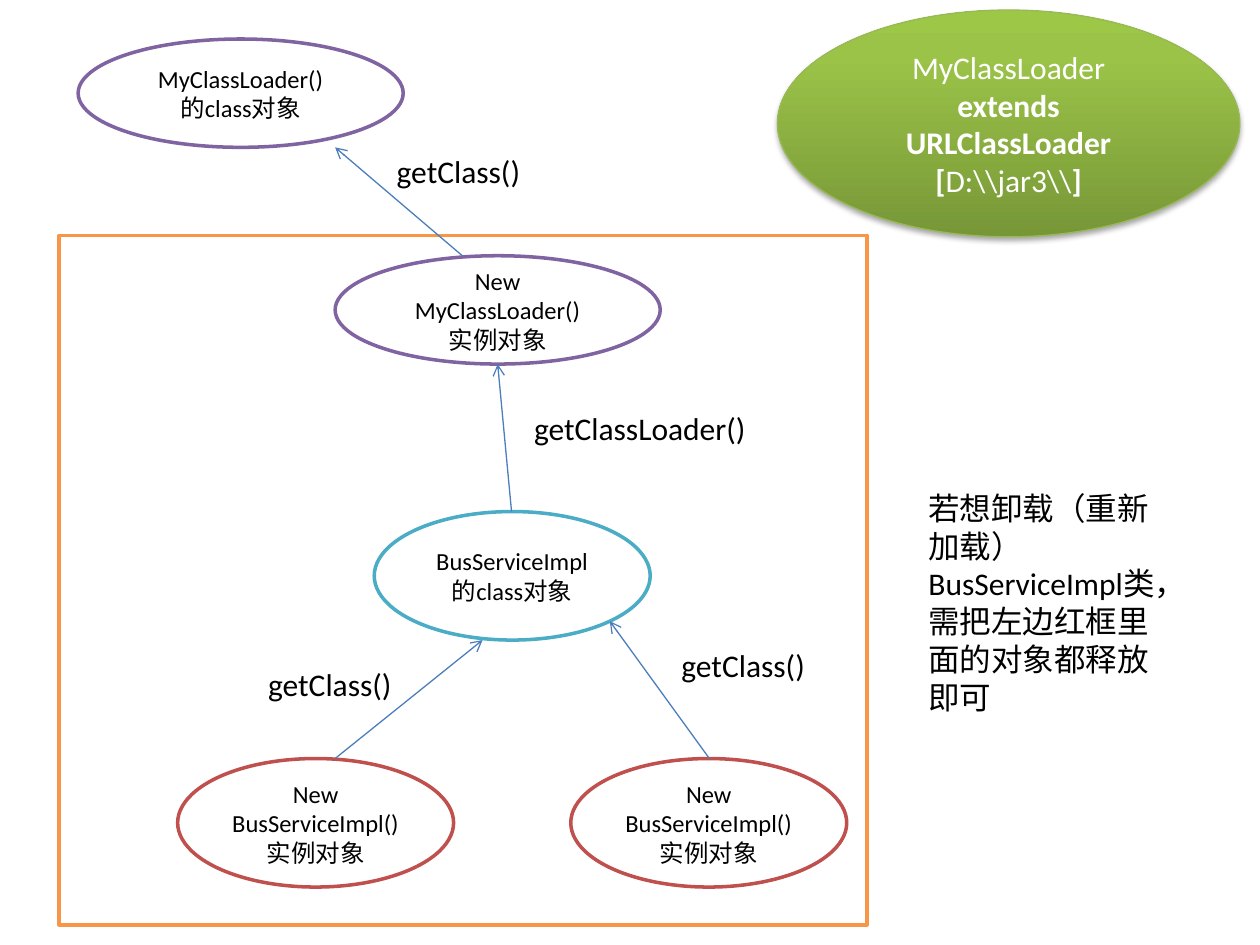
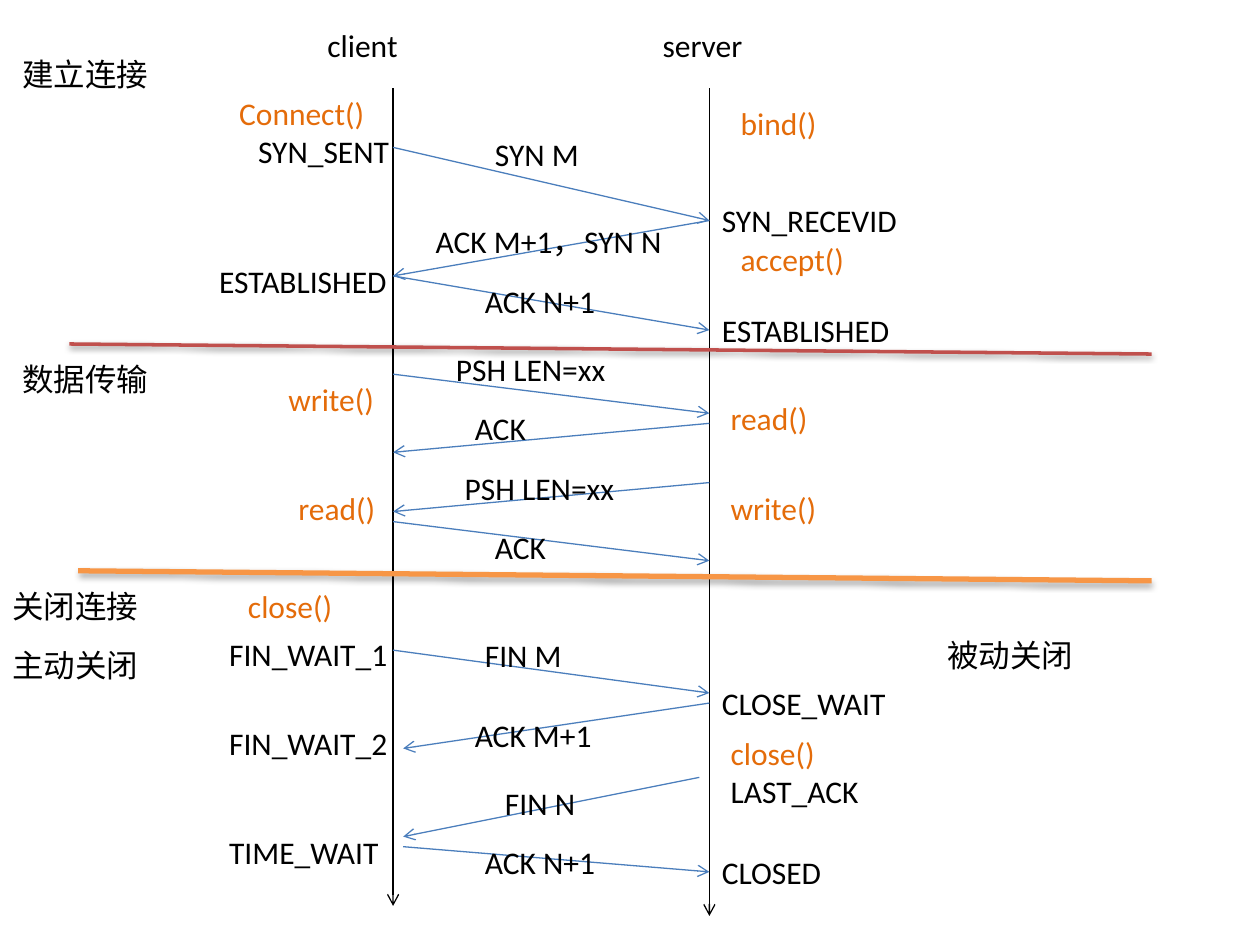
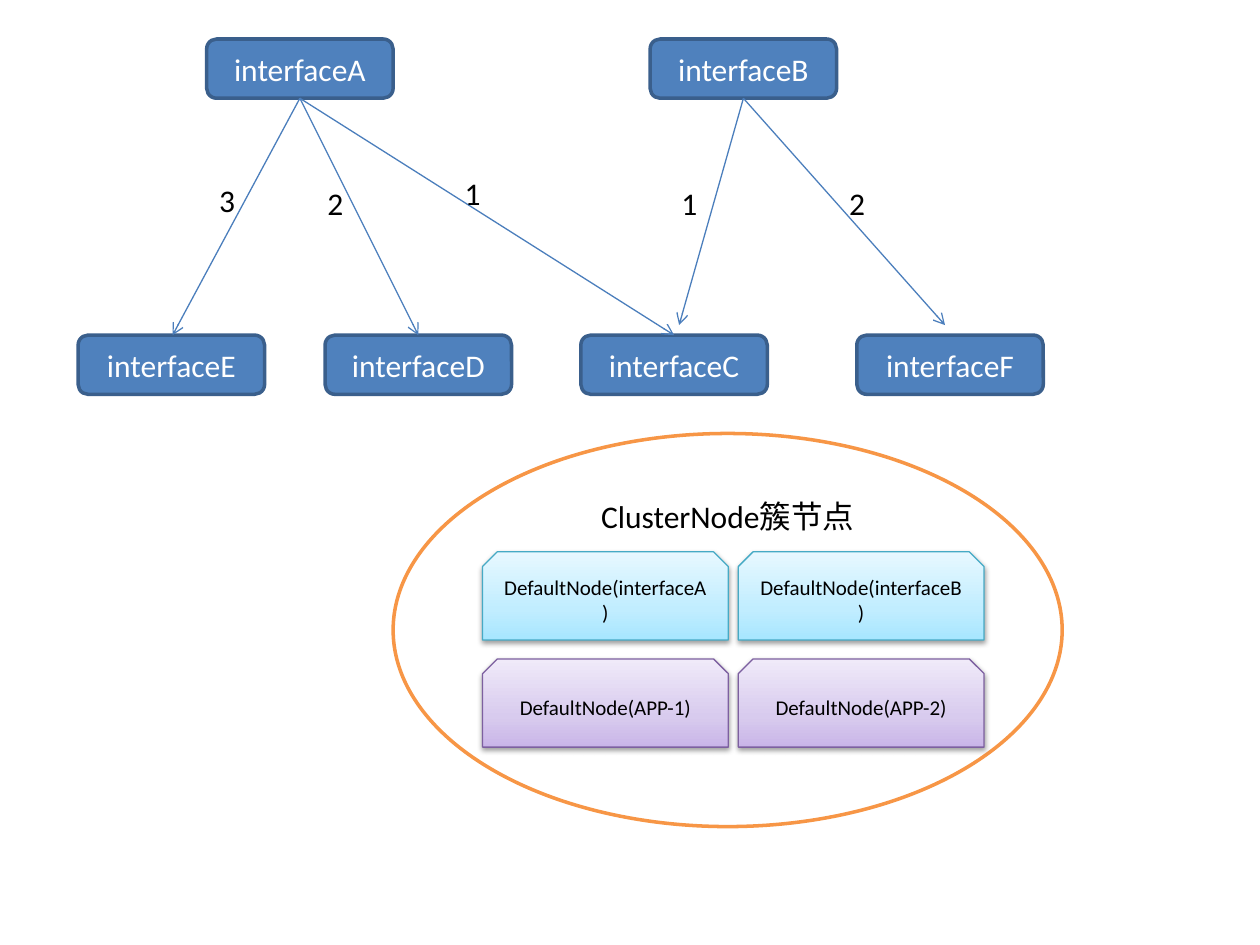
from dataclasses import dataclass

from lxml import etree
from pptx import Presentation
from pptx.dml.color import RGBColor
from pptx.enum import shapes, text
from pptx.oxml import ns
from pptx.util import Inches, Pt


@dataclass(frozen=True)
class Theme:
    """Colours, type sizes and line widths shared by all slides."""
    font: str = "Calibri"
    body: int = 18
    node: int = 14
    small: int = 12
    thin: float = 0.75
    thick: float = 2
    heavy: float = 3
    black: str = "000000"
    white: str = "FFFFFF"
    blue: str = "4F81BD"
    blue_edge: str = "3A5F8C"
    arrow: str = "4B7EBC"
    orange: str = "F79646"
    call: str = "E46C0A"
    red: str = "C0504D"
    teal: str = "4BACC6"
    purple: str = "8064A2"
    green_edge: str = "98B955"
    teal_edge: str = "46AAC5"
    purple_edge: str = "7D60A0"
    green_fade: tuple = ((0, "779737"), (80, "9BC348"), (100, "9DC746"))
    teal_fade: tuple = ((0, "A7E6FF"), (35, "C1EDFF"), (100, "E7F8FF"))
    purple_fade: tuple = ((0, "C9B5E8"), (35, "D8CBEE"), (100, "F0EAF9"))
    deep_shadow: tuple = (35, 1.8)
    soft_shadow: tuple = (38, 1.6)


THEME = Theme()
KIND = shapes.MSO_SHAPE
LABEL_HEIGHT = 0.4


def rgb(value):
    """Turn a hex string into a colour."""
    return RGBColor.from_string(value)


def add_child(parent, tag, **attributes):
    """Append a drawing element with the given attributes."""
    child = etree.SubElement(parent, ns.qn(tag))
    for name, value in attributes.items():
        child.set(name, str(value))
    return child


def set_shadow(shape, shadow=None):
    """Give a shape a downward shadow (opacity, distance), or none at all."""
    effects = add_child(shape._element.spPr, "a:effectLst")
    if shadow:
        opacity, distance = shadow
        outer = add_child(effects, "a:outerShdw", blurRad=Pt(3.1), dist=Pt(distance),
                          dir=90 * 60000, rotWithShape=0)
        colour = add_child(outer, "a:srgbClr", val=THEME.black)
        add_child(colour, "a:alpha", val=opacity * 1000)


def set_fill(shape, fill):
    """Fill with one colour, or with gradient stops running upwards."""
    if isinstance(fill, str):
        shape.fill.solid()
        shape.fill.fore_color.rgb = rgb(fill)
        return
    shape.fill.gradient()
    shape.fill.gradient_angle = 90
    stops = shape._element.spPr.find(ns.qn("a:gradFill")).find(ns.qn("a:gsLst"))
    for stop in list(stops):
        stops.remove(stop)
    for position, colour in fill:
        stop = add_child(stops, "a:gs", pos=position * 1000)
        add_child(stop, "a:srgbClr", val=colour)


def set_line(shape, colour, width):
    """Set the colour and width of an outline or connector."""
    shape.line.color.rgb = rgb(colour)
    shape.line.width = Pt(width)


def format_span(span, size, colour, bold=None):
    """Apply the shared font to one run."""
    span.font.name = THEME.font
    span.font.size = Pt(size)
    span.font.color.rgb = rgb(colour)
    span.font.bold = bold


def add_shape(page, kind, place, fill, edge, width=THEME.thick, words="",
              size=THEME.node, colour=THEME.black, shadow=None):
    """Draw a preset shape with centred text; place is left, top, width, height."""
    shape = page.shapes.add_shape(kind, *map(Inches, place))
    set_fill(shape, fill)
    set_line(shape, edge, width)
    set_shadow(shape, shadow)
    if words:
        shape.text_frame.text = words
    for para in shape.text_frame.paragraphs:
        para.alignment = text.PP_ALIGN.CENTER
        for span in para.runs:
            format_span(span, size, colour)
    return shape


def add_label(page, words, left, top, width, height=LABEL_HEIGHT, colour=THEME.black):
    """Write a plain body-size label."""
    box = page.shapes.add_textbox(*map(Inches, (left, top, width, height)))
    frame = box.text_frame
    frame.word_wrap = True
    frame.auto_size = text.MSO_AUTO_SIZE.SHAPE_TO_FIT_TEXT
    frame.text = words
    format_span(frame.paragraphs[0].runs[0], THEME.body, colour)


def add_line(page, start, end, colour, width, shadow=None):
    """Draw a straight connector between two points."""
    line = page.shapes.add_connector(
        shapes.MSO_CONNECTOR.STRAIGHT, *map(Inches, (*start, *end)))
    set_line(line, colour, width)
    set_shadow(line, shadow)
    return line


def add_arrow(page, start, end, colour=THEME.arrow):
    """Draw a thin connector with an open arrowhead at its end."""
    line = add_line(page, start, end, colour, THEME.thin)
    add_child(line.line._get_or_add_ln(), "a:tailEnd", type="arrow")


def add_loader_badge(page):
    """Draw the green ellipse that describes the class loader."""
    badge = add_shape(page, KIND.OVAL, (6.17, 0.08, 3.67, 1.8), THEME.green_fade,
                      THEME.green_edge, THEME.thin, shadow=THEME.deep_shadow)
    lines = [[("MyClassLoader ", False), ("extends URLClassLoader", True)],
             [("[", True), ("D:\\\\jar3\\\\", False), ("]", True)]]
    frame = badge.text_frame
    for index, spans in enumerate(lines):
        para = frame.add_paragraph() if index else frame.paragraphs[0]
        para.alignment = text.PP_ALIGN.CENTER
        for words, bold in spans:
            span = para.add_run()
            span.text = words
            format_span(span, THEME.body, THEME.white, bold)


def build_class_loader(page):
    """Slide 1: which objects hold on to a loaded class."""
    add_shape(page, KIND.RECTANGLE, (0.47, 1.87, 6.41, 5.47), THEME.white, THEME.orange)
    add_loader_badge(page)

    instance = "New BusServiceImpl()实例对象"
    service, loader = (2.19, 1.02), (2.58, 0.86)
    for words, corner, size, edge in [
        ("BusServiceImpl的class对象", (2.97, 4.06), service, THEME.teal),
        (instance, (1.41, 6.02), service, THEME.red),
        (instance, (4.53, 6.02), service, THEME.red),
        ("New MyClassLoader()\n实例对象", (2.66, 2.03), loader, THEME.purple),
        ("MyClassLoader()\n的class对象", (0.62, 0.31), loader, THEME.purple),
    ]:
        add_shape(page, KIND.OVAL, corner + size, THEME.white, edge, words=words)

    for start, end in [((4.06, 4.06), (3.95, 2.89)), ((2.66, 6.02), (3.83, 5.08)),
                       ((5.63, 6.02), (4.84, 4.93)), ((3.67, 2.03), (2.66, 1.17))]:
        add_arrow(page, start, end)

    add_label(page, "getClassLoader()", 4.14, 3.2, 2.27)
    for left, top in [(2.03, 5.23), (5.31, 5.08), (3.05, 1.16)]:
        add_label(page, "getClass()", left, top, 1.88)
    add_label(page, "若想卸载（重新加载） BusServiceImpl类，需把左边红框里面的对象都释放即可",
              7.27, 3.83, 2.19, 1.92)


def build_connection(page):
    """Slide 2: the life of a connection between client and server."""
    client, server = 3.12, 5.63
    for x, bottom in [(client, 7.19), (server, 7.27)]:
        add_arrow(page, (x, 0.7), (x, bottom), THEME.black)

    messages = [
        ("SYN M", 3.83, 1.02, (client, 1.17), (server, 1.75)),
        ("ACK M+1，SYN N", 3.36, 1.71, (server, 1.75), (client, 2.19)),
        ("ACK N+1", 3.75, 2.19, (client, 2.19), (server, 2.62)),
        ("PSH LEN=xx", 3.52, 2.73, (client, 2.97), (server, 3.28)),
        ("ACK", 3.67, 3.2, (server, 3.36), (client, 3.59)),
        ("PSH LEN=xx", 3.59, 3.67, (server, 3.83), (client, 4.06)),
        ("ACK", 3.83, 4.14, (client, 4.14), (server, 4.45)),
        ("FIN M", 3.75, 5, (client, 5.16), (server, 5.5)),
        ("ACK M+1", 3.67, 5.63, (server, 5.58), (3.2, 5.94)),
        ("FIN N", 3.91, 6.17, (5.55, 6.17), (3.2, 6.64)),
        ("ACK N+1", 3.75, 6.64, (3.2, 6.72), (server, 6.92)),
    ]
    for words, left, top, start, end in messages:
        add_arrow(page, start, end)
        add_label(page, words, left, top, 2.42 if "，" in words else 1.8)

    add_line(page, (0.55, 2.73), (9.14, 2.81), THEME.red, THEME.thick, THEME.soft_shadow)
    add_line(page, (0.62, 4.53), (9.14, 4.61), THEME.orange, THEME.heavy, THEME.deep_shadow)

    states = [
        ("client", 2.5, 0.16), ("server", 5.16, 0.16),
        ("SYN_SENT", 1.95, 1), ("ESTABLISHED", 1.64, 2.03),
        ("FIN_WAIT_1", 1.72, 4.99), ("FIN_WAIT_2", 1.72, 5.7), ("TIME_WAIT", 1.72, 6.56),
        ("SYN_RECEVID", server, 1.55), ("ESTABLISHED", server, 2.42),
        ("CLOSE_WAIT", server, 5.38), ("LAST_ACK", 5.7, 6.08), ("CLOSED", server, 6.72),
    ]
    phases = [("建立连接", 0.08, 0.39), ("数据传输", 0.08, 2.81), ("关闭连接", 0, 4.61),
              ("主动关闭", 0, 5.08), ("被动关闭", 7.42, 5)]
    calls = [
        ("Connect()", 1.8, 0.7), ("write()", 2.19, 2.97), ("read()", 2.27, 3.83),
        ("close()", 1.87, 4.61), ("bind()", 5.78, 0.78), ("accept()", 5.78, 1.86),
        ("read()", 5.7, 3.12), ("write()", 5.7, 3.83), ("close()", 5.7, 5.78),
    ]
    for group, width, colour in [(states, 1.72, THEME.black), (phases, 1.56, THEME.black),
                                 (calls, 1.64, THEME.call)]:
        for words, left, top in group:
            add_label(page, words, left, top, width, colour=colour)


def build_cluster(page):
    """Slide 3: interface calls and the nodes of one cluster."""
    add_shape(page, KIND.OVAL, (3.12, 3.44, 5.31, 3.12), THEME.white, THEME.orange,
              words="ClusterNode簇节点", size=THEME.body
              ).text_frame.vertical_anchor = text.MSO_ANCHOR.TOP

    width, height, upper, lower = 1.48, 0.47, 0.31, 2.66
    for letter, left, top in [("A", 1.64, upper), ("B", 5.16, upper), ("C", 4.61, lower),
                              ("D", 2.58, lower), ("E", 0.62, lower), ("F", 6.8, lower)]:
        add_shape(page, KIND.ROUNDED_RECTANGLE, (left, top, width, height), THEME.blue,
                  THEME.blue_edge, words="interface" + letter, size=THEME.body,
                  colour=THEME.white)

    from_a, from_b = (2.38, upper + height), (5.9, upper + height)
    for start, end, number, left, top in [
        (from_a, (5.35, lower), "1", 3.59, 1.33),
        (from_a, (3.32, lower), "2", 2.5, 1.41),
        (from_a, (1.37, lower), "3", 1.64, 1.39),
        (from_b, (5.39, 2.58), "1", 5.31, 1.41),
        (from_b, (7.5, 2.58), "2", 6.64, 1.41),
    ]:
        add_arrow(page, start, end)
        add_label(page, number, left, top, 0.63)

    rows = [(("interfaceA", "interfaceB"), THEME.teal_fade, THEME.teal_edge),
            (("APP-1", "APP-2"), THEME.purple_fade, THEME.purple_edge)]
    for row, (names, fade, edge) in enumerate(rows):
        for column, name in enumerate(names):
            place = (3.83 + 2.03 * column, 4.38 + 0.85 * row, 1.95, 0.7)
            add_shape(page, KIND.SNIP_2_SAME_RECTANGLE, place, fade, edge, THEME.thin,
                      f"DefaultNode({name})", THEME.small, shadow=THEME.soft_shadow)


def main():
    """Build the deck and save it."""
    deck = Presentation()
    deck.slide_width, deck.slide_height = Inches(10), Inches(7.5)
    blank = deck.slide_layouts[6]
    for build in (build_class_loader, build_connection, build_cluster):
        build(deck.slides.add_slide(blank))
    deck.save("out.pptx")


main()
